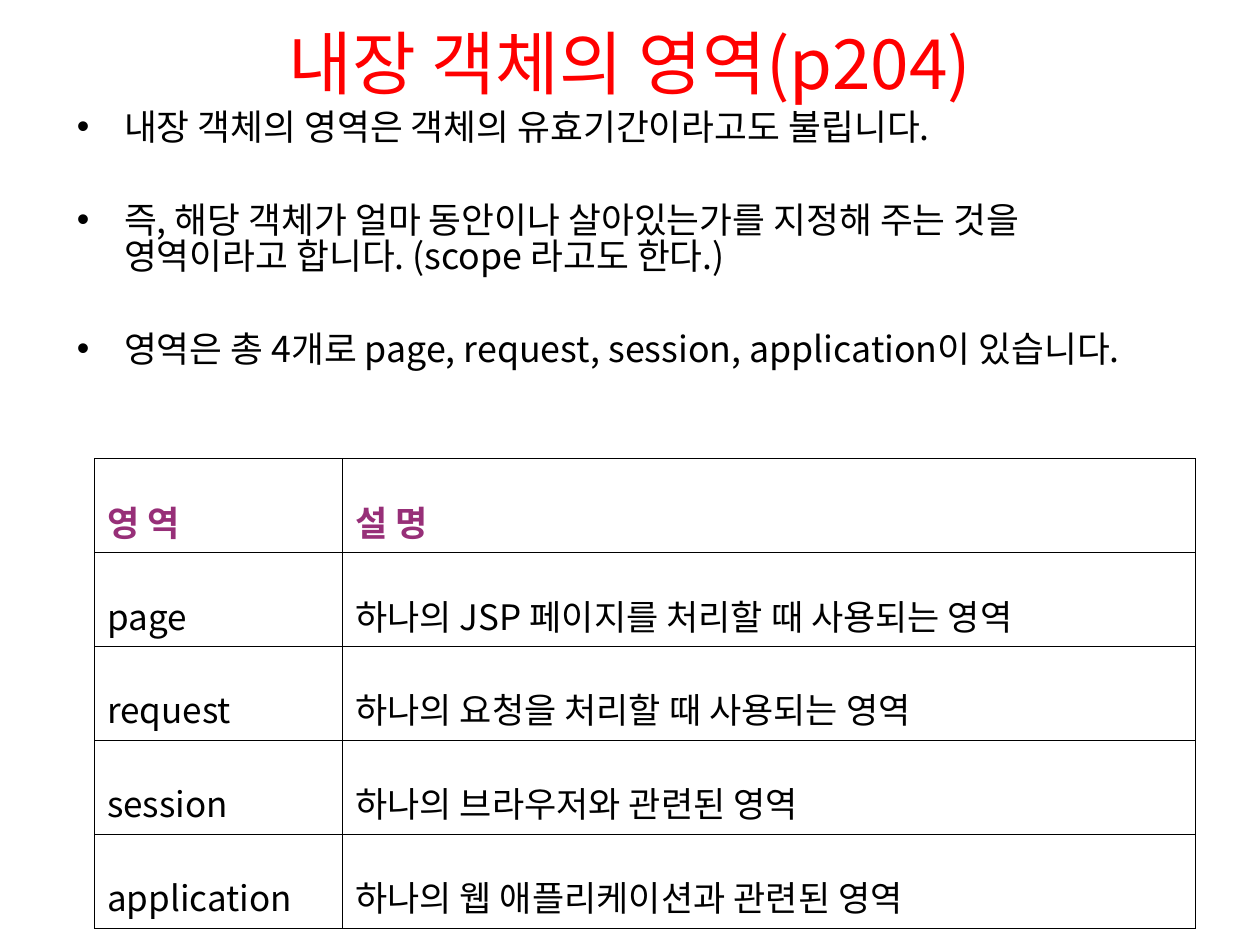
import pptx
import pptx.dml.color
import pptx.enum.text
import pptx.oxml
import pptx.oxml.ns
import pptx.util
from dataclasses import dataclass

FONT = "Noto Sans CJK KR"
COLORS = {"title": "FF0000", "text": "000000", "header": "972F78", "border": "000000"}
SLIDE_WIDTH = pptx.util.Inches(10)
SLIDE_HEIGHT = pptx.util.Inches(7.5)
BORDER_WIDTH = pptx.util.Pt(0.56)
ROW_HEIGHT = pptx.util.Inches(0.74)
NAME_COLUMN_SHARE = 0.2254


@dataclass
class Area:
    left: float
    top: float
    width: float
    height: float


@dataclass
class ScopeRow:
    name: str
    description: str
    header: bool = False


TITLE_AREA = Area(0.05, 0.04, 0.9, 0.05)
BODY_AREA = Area(0.051, 0.112, 0.9, 0.315)
TABLE_AREA = Area(0.075, 0.4853, 0.874, 0.4933)

POINTS = [
    "내장 객체의 영역은 객체의 유효기간이라고도 불립니다.",
    "즉, 해당 객체가 얼마 동안이나 살아있는가를 지정해 주는 것을 영역이라고 합니다. (scope 라고도 한다.)",
    "영역은 총 4개로 page, request, session, application이 있습니다.",
]
SCOPES = [
    ScopeRow("영 역", "설 명", header=True),
    ScopeRow("page", "하나의 JSP 페이지를 처리할 때 사용되는 영역"),
    ScopeRow("request", "하나의 요청을 처리할 때 사용되는 영역"),
    ScopeRow("session", "하나의 브라우저와 관련된 영역"),
    ScopeRow("application", "하나의 웹 애플리케이션과 관련된 영역"),
]


def bounds(area: Area) -> tuple[int, int, int, int]:
    return (
        round(area.left * SLIDE_WIDTH),
        round(area.top * SLIDE_HEIGHT),
        round(area.width * SLIDE_WIDTH),
        round(area.height * SLIDE_HEIGHT),
    )


def place(placeholder, area: Area) -> None:
    placeholder.left, placeholder.top, placeholder.width, placeholder.height = bounds(area)
    placeholder.text_frame.auto_size = pptx.enum.text.MSO_AUTO_SIZE.NONE
    placeholder.text_frame.word_wrap = True


def style(paragraph, size: float, color: str, bold: bool = False) -> None:
    font = paragraph.font
    font.size = pptx.util.Pt(size)
    font.bold = bold
    font.color.rgb = pptx.dml.color.RGBColor.from_string(COLORS[color])
    font.name = FONT
    properties = paragraph._p.pPr.find(pptx.oxml.ns.qn("a:defRPr"))
    properties.append(pptx.oxml.parse_xml(
        f'<a:ea {pptx.oxml.ns.nsdecls("a")} typeface="{FONT}"/>'))


def add_borders(cell) -> None:
    properties = cell._tc.get_or_add_tcPr()
    for position, side in enumerate(("lnL", "lnR", "lnT", "lnB")):
        properties.insert(position, pptx.oxml.parse_xml(
            f'<a:{side} {pptx.oxml.ns.nsdecls("a")} w="{int(BORDER_WIDTH)}">'
            f'<a:solidFill><a:srgbClr val="{COLORS["border"]}"/></a:solidFill></a:{side}>'))


def fill_cell(cell, wording: str, header: bool) -> None:
    cell.text = wording
    cell.fill.background()
    add_borders(cell)
    if header:
        cell.vertical_anchor = pptx.enum.text.MSO_ANCHOR.MIDDLE
    paragraph = cell.text_frame.paragraphs[0]
    paragraph.alignment = pptx.enum.text.PP_ALIGN.JUSTIFY
    paragraph.line_spacing = 1.6
    style(paragraph, 20, "header" if header else "text", bold=header)


def add_title(slide) -> None:
    title = slide.shapes.title
    place(title, TITLE_AREA)
    title.text_frame.text = "내장 객체의 영역(p204)"
    title.text_frame.vertical_anchor = pptx.enum.text.MSO_ANCHOR.MIDDLE
    heading = title.text_frame.paragraphs[0]
    heading.alignment = pptx.enum.text.PP_ALIGN.CENTER
    style(heading, 39.6, "title")


def add_points(slide) -> None:
    body = slide.placeholders[1]
    place(body, BODY_AREA)
    body.text_frame.text = "\n".join(POINTS)
    for number, paragraph in enumerate(body.text_frame.paragraphs):
        paragraph.line_spacing = 0.83
        paragraph.space_before = pptx.util.Pt(33 if number else 0)
        style(paragraph, 20.4, "text")


def add_scope_table(slide) -> None:
    area = bounds(TABLE_AREA)
    table = slide.shapes.add_table(len(SCOPES), 2, *area).table
    table.first_row = False
    table.horz_banding = False
    name_width = round(area[2] * NAME_COLUMN_SHARE)
    table.columns[0].width = name_width
    table.columns[1].width = area[2] - name_width
    for row, scope in zip(table.rows, SCOPES):
        row.height = ROW_HEIGHT
        for cell, wording in zip(row.cells, (scope.name, scope.description)):
            fill_cell(cell, wording, scope.header)


def main() -> None:
    presentation = pptx.Presentation()
    presentation.slide_width = SLIDE_WIDTH
    presentation.slide_height = SLIDE_HEIGHT
    slide = presentation.slides.add_slide(presentation.slide_layouts[1])
    add_title(slide)
    add_points(slide)
    add_scope_table(slide)
    presentation.save("out.pptx")


if __name__ == "__main__":
    main()
